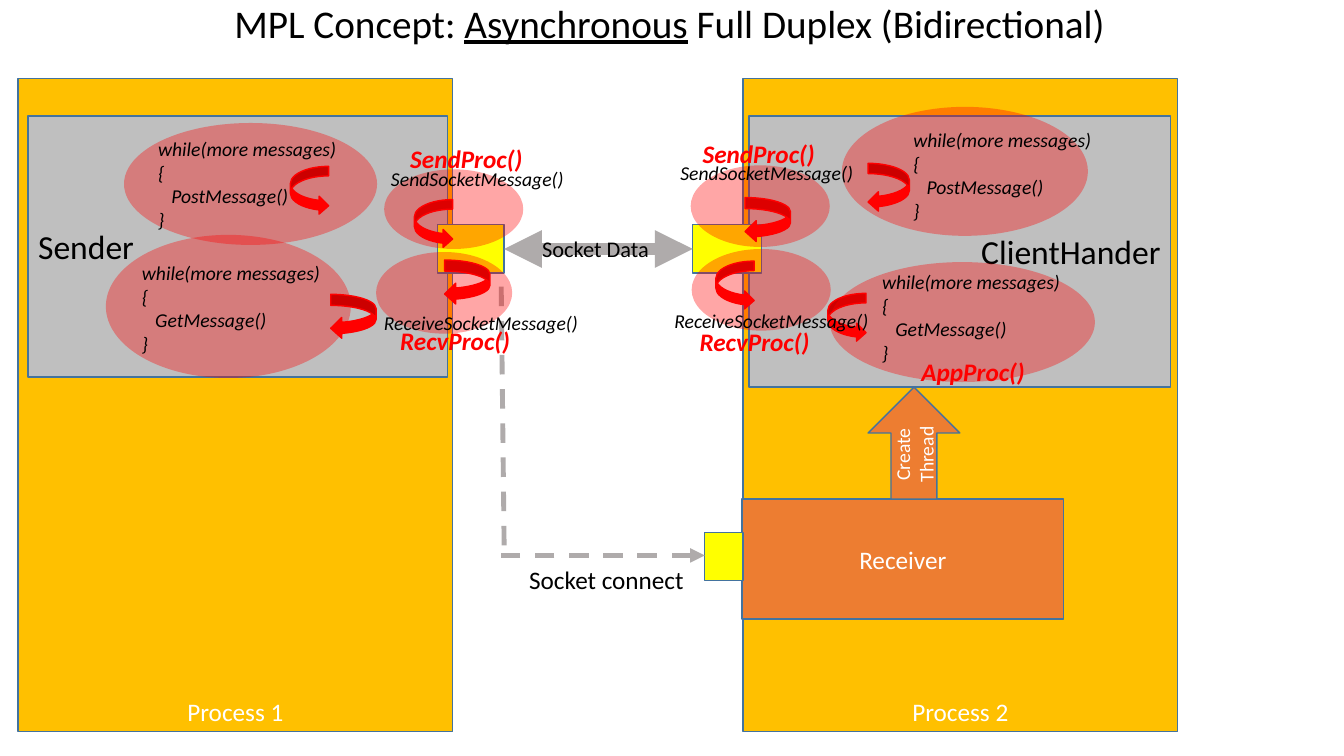
from lxml import etree
from pptx import Presentation
from pptx import util as u
from pptx.dml.color import RGBColor
from pptx.enum import dml, shapes, text
from pptx.oxml import ns

PX = u.Inches(1) // 100
KIND = shapes.MSO_SHAPE
ALIGN = text.PP_ALIGN
ANCHOR = text.MSO_ANCHOR
colour = RGBColor.from_string
BLACK, WHITE, RED, BLUE = "000000", "FFFFFF", "FF0000", "43739E"
AMBER, ORANGE, YELLOW, SILVER, GREY = "FFC000", "ED7D31", "FFFF00", "BFBFBF", "AFABAB"


def draw(kind, bounds, fill, outline=None):
    shape = page.shapes.add_shape(kind, *[value * PX for value in bounds])
    shape.shadow.inherit = False
    shape.fill.solid()
    shape.fill.fore_color.rgb = colour(fill)
    if outline:
        shape.line.color.rgb = colour(outline)
        shape.line.width = u.Pt(1)
    else:
        shape.line.fill.background()
    return shape


def write(frame, lines, size, ink, align=ALIGN.LEFT, anchor=ANCHOR.TOP, bold=False, italic=False):
    frame.word_wrap = True
    frame.vertical_anchor = anchor
    for index, line in enumerate(lines):
        para = frame.add_paragraph() if index else frame.paragraphs[0]
        para.add_run().text = line
        para.alignment = align
        para.font.name = "Calibri"
        para.font.size = u.Pt(size)
        para.font.color.rgb = colour(ink)
        para.font.bold = bold
        para.font.italic = italic


deck = Presentation()
deck.slide_width, deck.slide_height = 1333 * PX, 750 * PX
page = deck.slides.add_slide(deck.slide_layouts[5])

title = page.shapes.title
title.left, title.top, title.width, title.height = [value * PX for value in (187, -6, 954, 63)]
title.text_frame.auto_size = text.MSO_AUTO_SIZE.NONE
write(title.text_frame, ["MPL Concept: "], 28, BLACK, ALIGN.CENTER, ANCHOR.MIDDLE)
heading = title.text_frame.paragraphs[0]
heading.line_spacing = 0.9
for words, underlined in [("Asynchronous", True), (" Full Duplex (Bidirectional)", False)]:
    span = heading.add_run()
    span.text = words
    span.font.underline = underlined

panels = [
    ((18, 78, 431, 648), AMBER, "Process 1", 18, WHITE, ALIGN.CENTER, ANCHOR.BOTTOM),
    ((28, 115, 416, 259), SILVER, "Sender", 24, BLACK, ALIGN.LEFT, ANCHOR.MIDDLE),
    ((737, 78, 431, 648), AMBER, "Process 2", 18, WHITE, ALIGN.CENTER, ANCHOR.BOTTOM),
    ((736, 495, 319, 119), ORANGE, "Receiver", 18, WHITE, ALIGN.CENTER, ANCHOR.MIDDLE),
    ((743, 115, 418, 269), SILVER, "ClientHander", 24, BLACK, ALIGN.RIGHT, ANCHOR.MIDDLE),
]
for bounds, fill, label, size, ink, align, anchor in panels:
    panel = draw(KIND.RECTANGLE, bounds, fill, BLUE)
    write(panel.text_frame, [label], size, ink, align, anchor)

for socket in [(434, 223, 66, 48), (687, 223, 68, 48), (699, 528, 38, 48)]:
    draw(KIND.RECTANGLE, socket, YELLOW, BLUE)

links = [
    ((500, 247, 687, 247), 9, False, ("headEnd", "tailEnd")),
    ((699, 551, 497, 551), 3.5, True, ("headEnd",)),
    ((500, 541, 497, 272), 3.5, True, ()),
]
for ends, width, dashed, heads in links:
    link = page.shapes.add_connector(shapes.MSO_CONNECTOR.STRAIGHT, *[value * PX for value in ends])
    link.line.color.rgb = colour(GREY)
    link.line.width = u.Pt(width)
    if dashed:
        link.line.dash_style = dml.MSO_LINE.DASH
    properties = link.element.spPr
    for head in heads:
        etree.SubElement(properties.find(ns.qn("a:ln")), ns.qn("a:" + head), type="triangle")
    etree.SubElement(properties, ns.qn("a:effectLst"))

threads = [
    (381, 168, 138, 79), (373, 250, 135, 81), (685, 164, 138, 81), (686, 247, 138, 81),
    (123, 122, 251, 121), (105, 233, 243, 142), (835, 106, 244, 128), (823, 260, 263, 119),
]
loops_below = [
    ((411, 198, 38, 48), True), ((441, 258, 45, 44), False), ((710, 259, 38, 48), True),
    ((739, 196, 45, 44), False), ((821, 291, 38, 48), True),
]
loops_above = [
    ((288, 165, 38, 48), True), ((328, 292, 45, 44), False), ((861, 162, 41, 48), False),
]
layers = [
    *[(KIND.CURVED_LEFT_ARROW, *loop) for loop in loops_below],
    *[(KIND.OVAL, thread, False) for thread in threads],
    *[(KIND.CURVED_LEFT_ARROW, *loop) for loop in loops_above],
]
for kind, bounds, flipped in layers:
    if kind == KIND.OVAL:
        thread = draw(kind, bounds, RED)
        tint = thread.element.spPr.find(".//" + ns.qn("a:srgbClr"))
        etree.SubElement(tint, ns.qn("a:alpha"), val="35000")
    else:
        loop = draw(kind, bounds, RED, RED)
        for index, value in enumerate((0.25, 0.468, 0.25)):
            loop.adjustments[index] = value
        if flipped:
            loop.element.spPr.find(ns.qn("a:xfrm")).set("flipH", "1")

create = draw(KIND.RIGHT_ARROW, (851, 394, 111, 91), ORANGE, BLUE)
create.rotation = 270
write(create.text_frame, ["Create Thread"], 14, WHITE, ALIGN.CENTER, ANCHOR.MIDDLE)

post, get = [["while(more messages)", "{", f"   {call}()", "}"] for call in ("PostMessage", "GetMessage")]
plain = (18, BLACK, False, False)
code = (14, BLACK, False, True)
procedure = (18, RED, True, True)
labels = [
    ((515, 555, 183, 40), ["Socket connect"], plain),
    ((528, 228, 163, 37), ["Socket Data"], (16, BLACK, False, False)),
    ((147, 131, 227, 104), post, code),
    ((131, 254, 227, 104), get, code),
    ((896, 122, 227, 104), post, code),
    ((865, 263, 227, 104), get, code),
    ((687, 132, 137, 40), ["SendProc()"], procedure),
    ((684, 319, 131, 40), ["RecvProc()"], procedure),
    ((397, 137, 143, 40), ["SendProc()"], procedure),
    ((387, 318, 131, 40), ["RecvProc()"], procedure),
    ((904, 349, 195, 40), ["AppProc()"], procedure),
    ((378, 161, 213, 34), ["SendSocketMessage()"], code),
    ((371, 304, 213, 34), ["ReceiveSocketMessage()"], code),
    ((665, 155, 213, 34), ["SendSocketMessage()"], code),
    ((659, 302, 213, 34), ["ReceiveSocketMessage()"], code),
]
for bounds, lines, (size, ink, bold, italic) in labels:
    box = page.shapes.add_textbox(*[value * PX for value in bounds])
    box.text_frame.auto_size = text.MSO_AUTO_SIZE.SHAPE_TO_FIT_TEXT
    write(box.text_frame, lines, size, ink, bold=bold, italic=italic)

deck.save("out.pptx")
